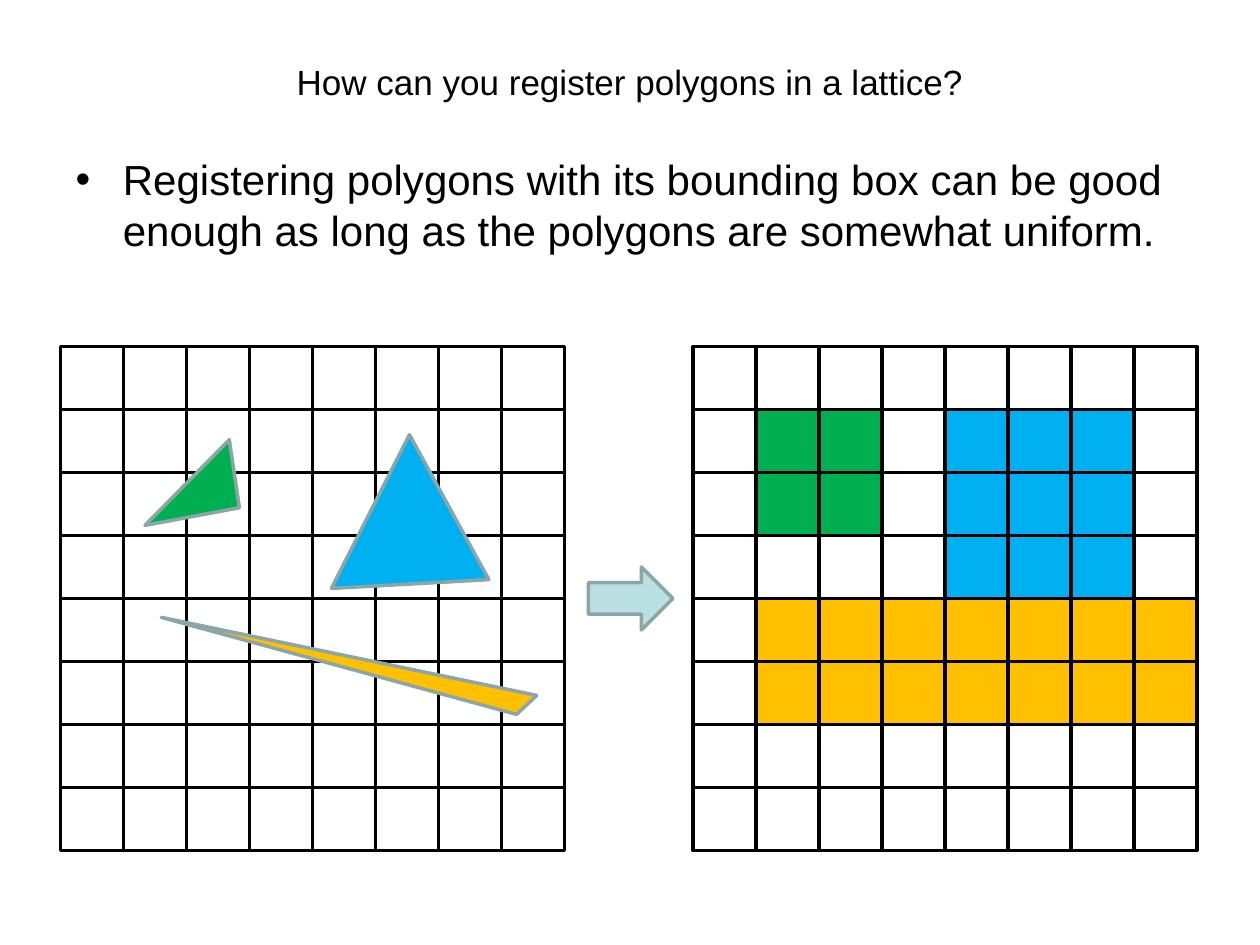
"""Build the slide on registering polygons in a lattice by bounding box."""
from pptx import Presentation
from pptx.dml.color import RGBColor
from pptx.enum import shapes, text
from pptx.util import Inches, Pt

BLACK = RGBColor(0x00, 0x00, 0x00)
GREEN = RGBColor(0x00, 0xB0, 0x50)
BLUE = RGBColor(0x00, 0xB0, 0xF0)
AMBER = RGBColor(0xFF, 0xC0, 0x00)
PALE_TEAL = RGBColor(0xBB, 0xE0, 0xE3)
GREY_TEAL = RGBColor(0x8A, 0xA6, 0xA8)

QUESTION = "How can you register polygons in a lattice?"
ANSWER = ("Registering polygons with its bounding box can be good enough "
          "as long as the polygons are somewhat uniform.")

CELLS, CELL, LATTICE_TOP = 8, 0.5, 2.75
POLYGONS = [
    (GREEN, [(1.82, 3.49), (1.15, 4.17), (1.9, 4.03)]),
    (BLUE, [(3.25, 3.45), (2.63, 4.67), (3.88, 4.6)]),
    (AMBER, [(1.28, 4.9), (4.26, 5.52), (4.1, 5.67)]),
]
REGISTERED = [
    (GREEN, range(1, 3), range(1, 3)),
    (BLUE, range(4, 7), range(1, 4)),
    (AMBER, range(1, 8), range(4, 6)),
]
LATTICES = [(0.48, []), (5.5, REGISTERED)]


def paint(shape, fill, line):
    shape.shadow.inherit = False
    if fill is None:
        shape.fill.background()
    else:
        shape.fill.solid()
        shape.fill.fore_color.rgb = fill
    shape.line.color.rgb = line
    shape.line.width = Pt(2)


def write(holder, words, size, box):
    holder.left, holder.top, holder.width, holder.height = map(Inches, box)
    holder.text_frame.text = words
    font = holder.text_frame.paragraphs[0].runs[0].font
    font.name, font.size, font.color.rgb = "Arial", Pt(size), BLACK


def draw_lattice(slide, left, boxes):
    for row in range(CELLS):
        for column in range(CELLS):
            fill = next((color for color, columns, rows in boxes
                         if column in columns and row in rows), None)
            cell = slide.shapes.add_shape(
                shapes.MSO_SHAPE.RECTANGLE,
                Inches(left + column * CELL), Inches(LATTICE_TOP + row * CELL),
                Inches(CELL), Inches(CELL))
            paint(cell, fill, BLACK)


def draw_polygon(slide, color, corners):
    start, *others = [(Inches(x), Inches(y)) for x, y in corners]
    outline = slide.shapes.build_freeform(*start)
    outline.add_line_segments(others, close=True)
    paint(outline.convert_to_shape(), color, GREY_TEAL)


deck = Presentation()
deck.slide_width, deck.slide_height = Inches(10), Inches(7.5)
slide = deck.slides.add_slide(deck.slide_layouts[1])

title, body = slide.placeholders
write(title, QUESTION, 20, (0.5, 0.3, 9, 0.7))
title.text_frame.vertical_anchor = text.MSO_ANCHOR.MIDDLE
title.text_frame.paragraphs[0].alignment = text.PP_ALIGN.CENTER
write(body, ANSWER, 24, (0.5, 1.17, 9, 5.53))

for left, boxes in LATTICES:
    draw_lattice(slide, left, boxes)

arrow = slide.shapes.add_shape(shapes.MSO_SHAPE.RIGHT_ARROW, Inches(4.67),
                               Inches(4.5), Inches(0.67), Inches(0.5))
paint(arrow, PALE_TEAL, GREY_TEAL)

for color, corners in POLYGONS:
    draw_polygon(slide, color, corners)

deck.save("out.pptx")
